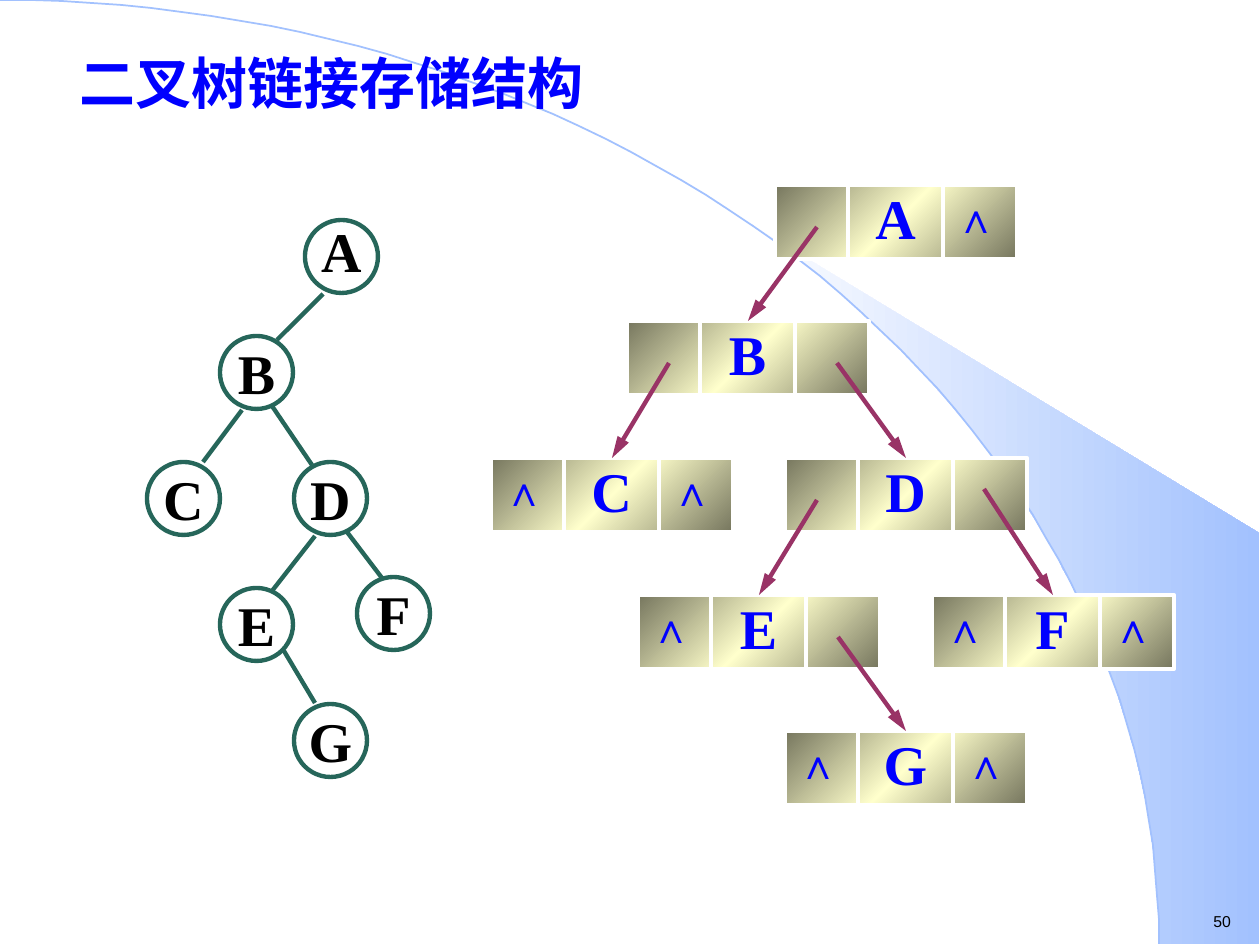
from math import cos, pi, sin, asin

from lxml.etree import SubElement
from pptx import Presentation
from pptx.dml.color import RGBColor
from pptx.enum.shapes import MSO_CONNECTOR, MSO_SHAPE
from pptx.enum.text import MSO_ANCHOR, PP_ALIGN
from pptx.oxml.ns import qn
from pptx.util import Emu, Pt

SCALE = 914400 / 126  # EMU per px
SLIDE_W, SLIDE_H = 1260, 945

BLUE = RGBColor(0x00, 0x00, 0xFF)
BLACK = RGBColor(0x00, 0x00, 0x00)
WHITE = RGBColor(0xFF, 0xFF, 0xFF)
SKY = RGBColor(0xA2, 0xC1, 0xFE)
GREEN = RGBColor(0x26, 0x66, 0x5A)
PLUM = RGBColor(0x99, 0x33, 0x66)
OLIVE = RGBColor(0x76, 0x76, 0x5E)
CREAM = RGBColor(0xFF, 0xFF, 0xCC)

SERIF, SANS, CJK = "Times New Roman", "Arial", "Noto Sans CJK SC"
LINE_PT = 2.5

# Binary tree: letter -> left, top, line spacing of the letter
CIRCLE = 73
TREE_NODES = {
    "A": (158, 0, 1.0), "B": (73, 116, 1.1), "C": (0, 242, 1.1),
    "D": (147, 242, 1.1), "E": (73, 368, 1.1), "F": (210, 357, 1.1),
    "G": (147, 484, 1.1),
}
TREE_EDGES = [
    (176, 74, 130, 120), (95, 190, 56, 242), (200, 312, 235, 358),
    (125, 186, 165, 245), (168, 316, 125, 371), (137, 431, 168, 483),
]

# Linked nodes: letter -> left, row, offsets of the empty links
NODE_W, NODE_H, ROW_STEP = 242, 74, 136.5
LEFT_LINK, RIGHT_LINK = 0, 168
LINKED_NODES = {
    "A": (284, 0, [RIGHT_LINK]),
    "B": (136, 1, []),
    "C": (0, 2, [LEFT_LINK, RIGHT_LINK]),
    "D": (294, 2, []),
    "E": (147, 3, [LEFT_LINK]),
    "F": (441, 3, [LEFT_LINK, RIGHT_LINK]),
    "G": (294, 4, [LEFT_LINK, RIGHT_LINK]),
}
# Parent, child, start of the arrow within the parent
POINTERS = [
    ("A", "B", 42, 42), ("B", "C", 42, 42), ("D", "E", 32, 42),
    ("D", "F", 199, 31), ("B", "D", 210, 42), ("E", "G", 200, 42),
]


def px(length):
    return Emu(round(length * SCALE))


def box(*lengths):
    return [px(length) for length in lengths]


def set_gradient(shape, colors, angle):
    shape.fill.gradient()
    shape.fill.gradient_angle = angle
    stops = shape.element.spPr.find(qn("a:gradFill")).find(qn("a:gsLst"))
    for stop in list(stops):
        stops.remove(stop)
    for i, color in enumerate(colors):
        stop = SubElement(stops, qn("a:gs"), pos=str(100000 * i // (len(colors) - 1)))
        SubElement(stop, qn("a:srgbClr"), val=str(color))


def set_line(shape, color, width=LINE_PT):
    shape.line.color.rgb = color
    shape.line.width = Pt(width)


def add_line(slide, ends, color, arrow=False):
    line = slide.shapes.add_connector(MSO_CONNECTOR.STRAIGHT, *box(*ends))
    set_line(line, color)
    properties = line.element.spPr
    if arrow:
        SubElement(properties.find(qn("a:ln")), qn("a:tailEnd"),
                   type="triangle", w="med", len="lg")
    SubElement(properties, qn("a:effectLst"))
    return line


def format_text(frame, text, size, color, font=SERIF, bold=True,
                align=PP_ALIGN.LEFT, spacing=1.0):
    frame.text = text
    frame.word_wrap = True
    frame.vertical_anchor = MSO_ANCHOR.TOP
    paragraph = frame.paragraphs[0]
    paragraph.alignment = align
    paragraph.line_spacing = spacing
    run_font = paragraph.runs[0].font
    run_font.size, run_font.bold, run_font.name = Pt(size), bold, font
    run_font.color.rgb = color
    return paragraph.runs[0]


def add_label(slide, bounds, text, size, color, **style):
    label = slide.shapes.add_textbox(*box(*bounds))
    format_text(label.text_frame, text, size, color, **style)


def add_backdrop(slide, width, height, swoosh_left=742, right=1259, swoosh_right_top=533):
    def arc(start, steps=60):
        angles = [start + (pi / 2 - start) * i / steps for i in range(steps + 1)]
        return [(width * sin(a), height * (1 - cos(a))) for a in angles]

    def outline(points, close):
        builder = slide.shapes.build_freeform(*points[0], scale=SCALE)
        builder.add_line_segments(points[1:], close=close)
        shape = builder.convert_to_shape()
        shape.shadow.inherit = False
        return shape

    # Blue swoosh along the lower part of the arc
    edge = arc(asin(swoosh_left / width))
    swoosh = outline(edge + [(right, height), (right, swoosh_right_top)], True)
    set_gradient(swoosh, [WHITE, SKY], 0)
    swoosh.line.fill.background()
    # Quarter arc
    curve = outline(arc(0), False)
    curve.fill.background()
    set_line(curve, SKY, 1)


def add_title(slide, left, top, width, height):
    title = slide.shapes.title
    title.left, title.top, title.width, title.height = box(left, top, width, height)
    run = format_text(title.text_frame, "二叉树链接存储结构", 32, BLUE)
    SubElement(run.font._element, qn("a:ea"), typeface=CJK)
    # Bring the title in front of the backdrop
    title.element.getparent().append(title.element)


def add_linked_nodes(slide, left, top):
    nodes, origins = {}, {}
    for letter, (dx, row, empty_links) in LINKED_NODES.items():
        x, y = left + dx, top + round(row * ROW_STEP)
        node = slide.shapes.add_shape(MSO_SHAPE.RECTANGLE, *box(x, y, NODE_W, NODE_H))
        node.shadow.inherit = False
        set_gradient(node, [OLIVE, CREAM, OLIVE], 315)
        set_line(node, WHITE)
        for divider in (x + 73, x + 168):
            add_line(slide, (divider, y, divider, y + NODE_H), WHITE)
        add_label(slide, (x + 42, y, 157, NODE_H), letter, 32, BLUE,
                  align=PP_ALIGN.CENTER, spacing=0.9)
        for link in empty_links:
            add_label(slide, (x + link, y, 84, 63), "∧", 24, BLUE)
        nodes[letter], origins[letter] = node, (x, y)
    # Pointers from parent to child
    for parent, child, dx, dy in POINTERS:
        (x, y), (child_x, child_y) = origins[parent], origins[child]
        ends = (x + dx, y + dy, child_x + NODE_W // 2, child_y)
        pointer = add_line(slide, ends, PLUM, arrow=True)
        pointer.end_connect(nodes[child], 0)


def add_tree(slide, left, top):
    for letter, (dx, dy, spacing) in TREE_NODES.items():
        x, y = left + dx, top + dy
        circle = slide.shapes.add_shape(MSO_SHAPE.OVAL, *box(x, y, CIRCLE, CIRCLE))
        circle.shadow.inherit = False
        circle.fill.background()
        set_line(circle, GREEN)
        add_label(slide, (x, y - 10, CIRCLE, 84), letter, 32, BLACK,
                  align=PP_ALIGN.CENTER, spacing=spacing)
    for x1, y1, x2, y2 in TREE_EDGES:
        add_line(slide, (left + x1, top + y1, left + x2, top + y2), GREEN)


def main():
    deck = Presentation()
    deck.slide_width, deck.slide_height = box(SLIDE_W, SLIDE_H)
    slide = deck.slides.add_slide(deck.slide_layouts[5])
    add_backdrop(slide, 1159, 944)
    add_title(slide, 67, 42, 692, 93)
    add_linked_nodes(slide, 491, 185)
    add_tree(slide, 147, 220)
    # Page number
    add_label(slide, (1201, 906, 44, 32), "50", 9, BLACK, font=SANS, bold=False)
    deck.save("out.pptx")


if __name__ == "__main__":
    main()
